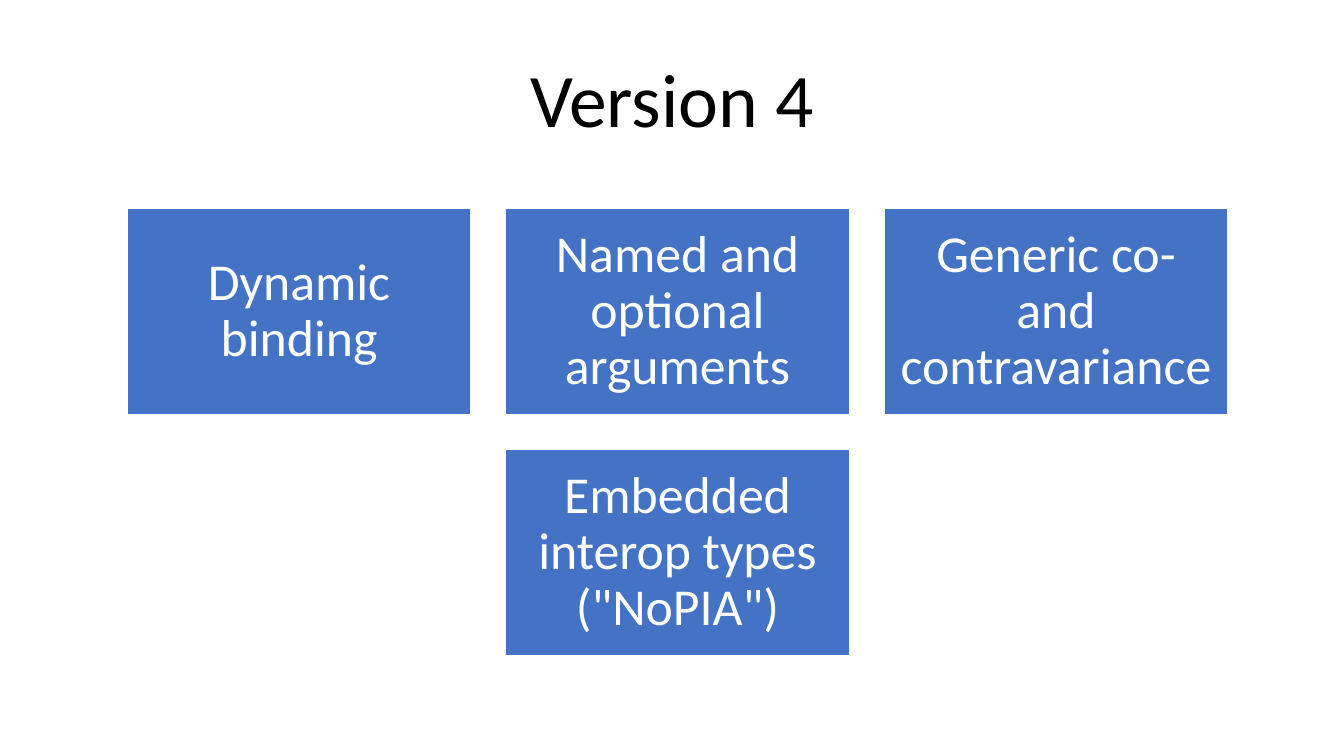
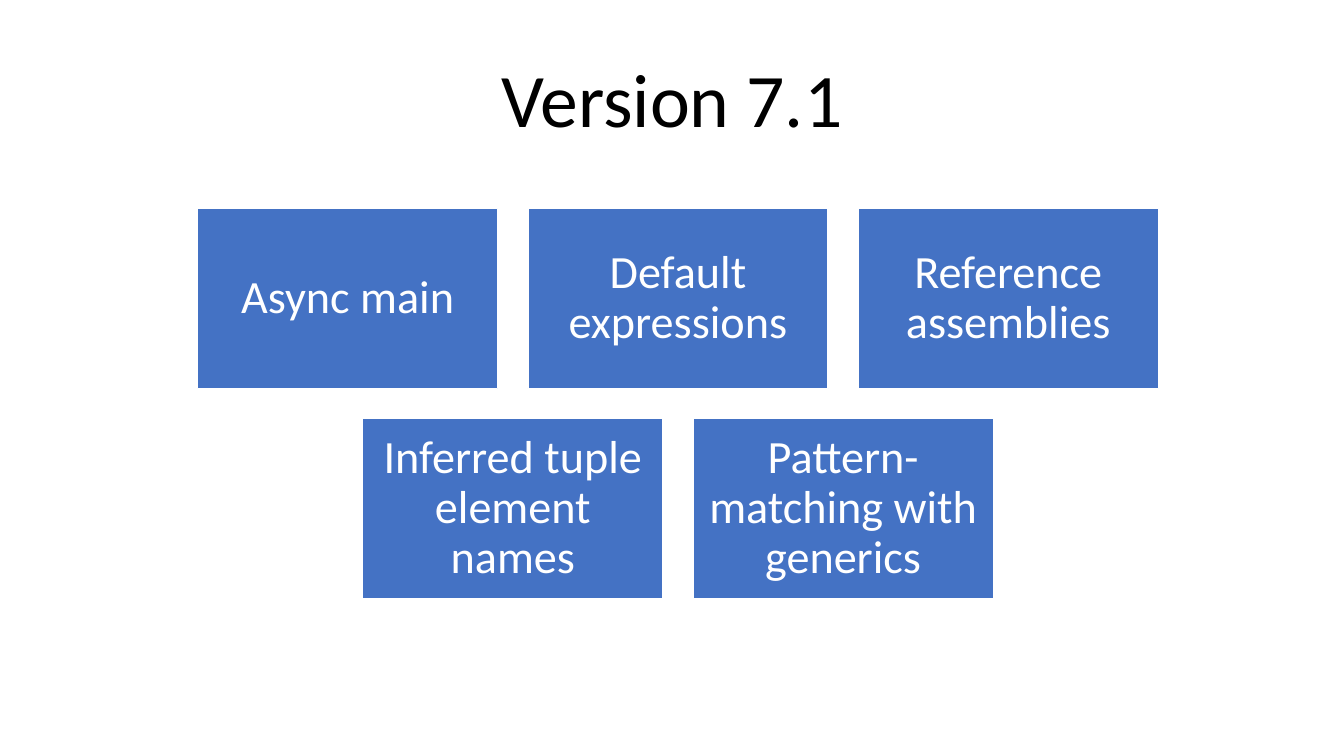
"""Build two slides that list language features by version."""
from dataclasses import dataclass

from pptx import Presentation
from pptx.dml.color import RGBColor
from pptx.enum.shapes import MSO_SHAPE
from pptx.enum.text import MSO_ANCHOR, MSO_AUTO_SIZE, PP_ALIGN
from pptx.util import Inches, Pt

RECTANGLE = MSO_SHAPE.RECTANGLE
MIDDLE = MSO_ANCHOR.MIDDLE
CENTER = PP_ALIGN.CENTER
GROW = MSO_AUTO_SIZE.SHAPE_TO_FIT_TEXT
TITLE_ONLY = 5
SLIDE_WIDTH, SLIDE_HEIGHT = 13.33, 7.5
COLUMNS = 3
GAP_RATIO, HEIGHT_RATIO = 0.1, 0.6


@dataclass(frozen=True)
class Theme:
    """Hold the colours, font and type sizes the slides share."""

    font: str = "Calibri"
    ink: RGBColor = RGBColor(0x00, 0x00, 0x00)
    paper: RGBColor = RGBColor(0xFF, 0xFF, 0xFF)
    tile: RGBColor = RGBColor(0x44, 0x72, 0xC4)
    title_size: int = 54
    large_size: int = 37
    medium_size: int = 33
    outline: int = 1
    line_spacing: float = 0.9


THEME = Theme()

VERSIONS = [
    {
        "title": "Version 4",
        "title_width": 3.05,
        "box": (1.26, 2.07, 10.92),
        "size": THEME.large_size,
        "features": [
            "Dynamic binding",
            "Named and optional arguments",
            "Generic co- and contravariance",
            'Embedded interop types ("NoPIA")',
        ],
    },
    {
        "title": "Version 7.1",
        "title_width": 3.62,
        "box": (1.96, 2.07, 9.53),
        "size": THEME.medium_size,
        "features": [
            "Async main",
            "Default expressions",
            "Reference assemblies",
            "Inferred tuple element names",
            "Pattern-matching with generics",
        ],
    },
]


def write_centered(frame, text, size, color):
    """Write one centred run in the theme font and return its paragraph."""
    frame.vertical_anchor = MIDDLE
    paragraph = frame.paragraphs[0]
    paragraph.alignment = CENTER
    run = paragraph.add_run()
    run.text = text
    run.font.name = THEME.font
    run.font.size = Pt(size)
    run.font.color.rgb = color
    return paragraph


def place_title(slide, text, width):
    """Centre the title placeholder at the top of the slide."""
    title = slide.shapes.title
    title.left, title.top = Inches((SLIDE_WIDTH - width) / 2), Inches(0.46)
    title.width, title.height = Inches(width), Inches(1.01)
    frame = title.text_frame
    frame.word_wrap = False
    frame.auto_size = GROW
    write_centered(frame, text, THEME.title_size, THEME.ink)


def add_tile(slide, box, feature, size):
    """Add one feature tile that fills the given box."""
    tile = slide.shapes.add_shape(RECTANGLE, *map(Inches, box))
    tile.shadow.inherit = False
    tile.fill.solid()
    tile.fill.fore_color.rgb = THEME.tile
    tile.line.color.rgb = THEME.paper
    tile.line.width = Pt(THEME.outline)
    frame = tile.text_frame
    frame.word_wrap = True
    inset = Inches(size / 240)
    frame.margin_left = frame.margin_right = inset
    frame.margin_top = frame.margin_bottom = inset
    paragraph = write_centered(frame, feature, size, THEME.paper)
    paragraph.line_spacing = THEME.line_spacing


def add_tile_grid(slide, box, features, size):
    """Lay the features out in rows, each centred in the given box."""
    left, top, width = box
    tile_width = width / (COLUMNS + (COLUMNS - 1) * GAP_RATIO)
    tile_height = tile_width * HEIGHT_RATIO
    gap = tile_width * GAP_RATIO
    for index, feature in enumerate(features):
        row, column = divmod(index, COLUMNS)
        row_count = min(COLUMNS, len(features) - row * COLUMNS)
        indent = (COLUMNS - row_count) * (tile_width + gap) / 2
        x = left + indent + column * (tile_width + gap)
        y = top + row * (tile_height + gap)
        add_tile(slide, (x, y, tile_width, tile_height), feature, size)


def add_version_slide(deck, version):
    """Add a slide with a version title and its grid of features."""
    slide = deck.slides.add_slide(deck.slide_layouts[TITLE_ONLY])
    add_tile_grid(slide, version["box"], version["features"], version["size"])
    place_title(slide, version["title"], version["title_width"])


def main():
    """Build and save the presentation."""
    deck = Presentation()
    deck.slide_width = Inches(SLIDE_WIDTH)
    deck.slide_height = Inches(SLIDE_HEIGHT)
    for version in VERSIONS:
        add_version_slide(deck, version)
    deck.save("out.pptx")


if __name__ == "__main__":
    main()
